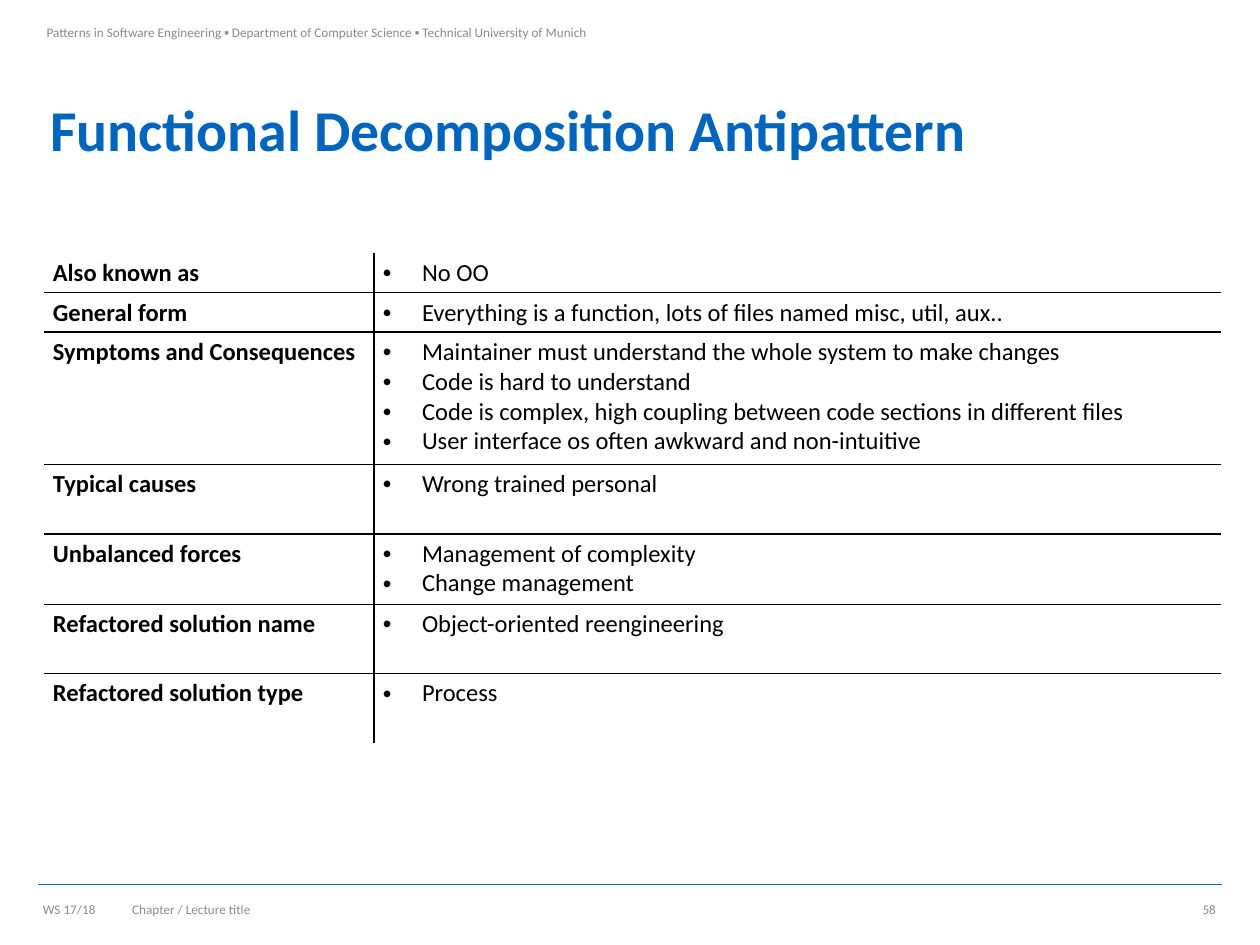
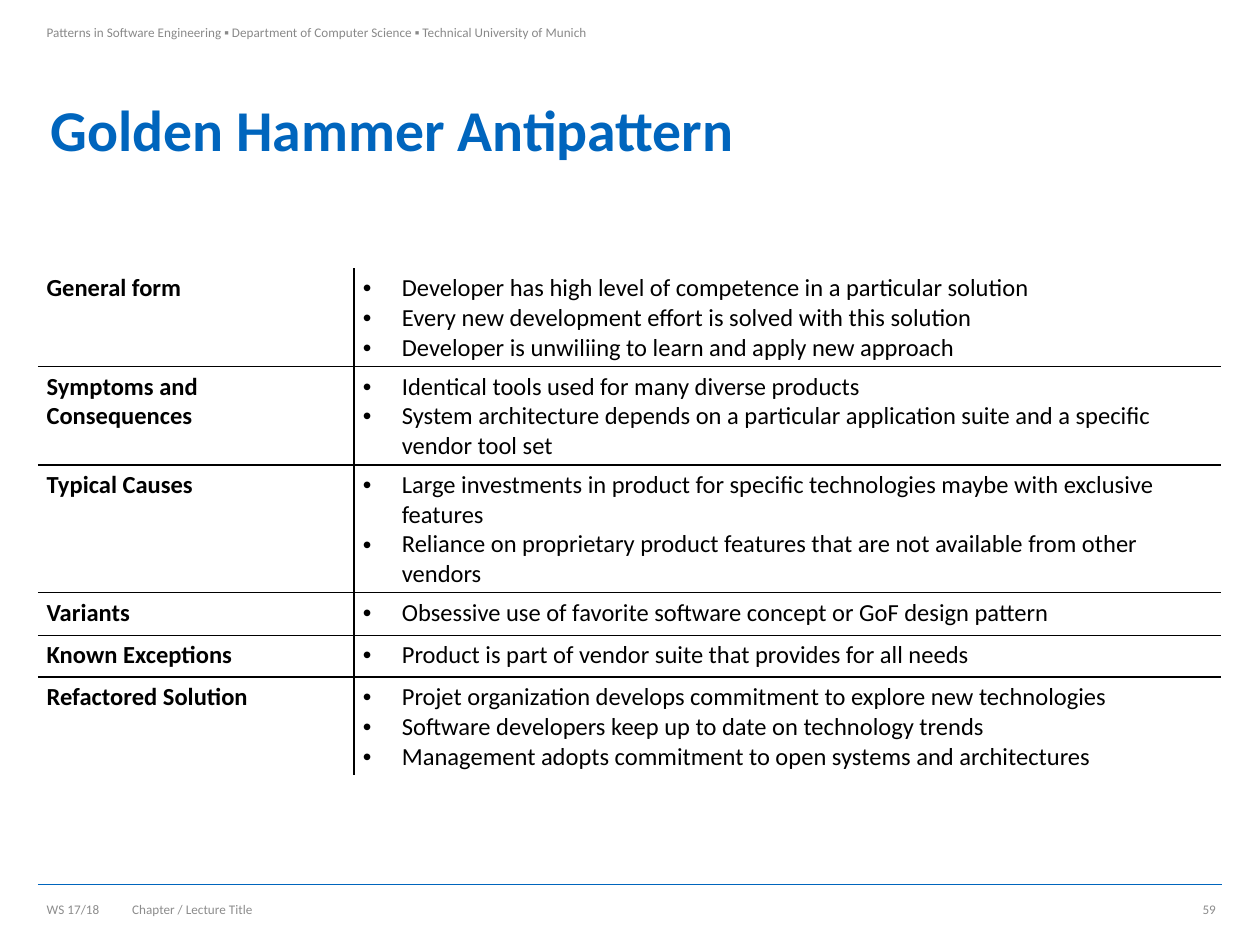
"""Build two antipattern summary slides, each a titled table in a shared frame."""
from dataclasses import dataclass

from lxml import etree
from pptx import Presentation
from pptx import util as u
from pptx.dml import color
from pptx.enum import shapes, text
from pptx.oxml import ns

Inches = u.Inches


@dataclass(frozen=True)
class Theme:
    """Colours, font and type sizes of the deck."""
    blue: str = "0065BD"
    head: str = "898989"
    foot: str = "8C8C8C"
    ink: str = "000000"
    font: str = "Calibri"
    title: float = 33
    body: float = 14
    small: float = 7.5


THEME = Theme()
LEFT, RIGHT = text.PP_ALIGN.LEFT, text.PP_ALIGN.RIGHT
CENTER = text.PP_ALIGN.CENTER
HEADER = ("Patterns in Software Engineering ▪ Department of Computer Science"
          " ▪ Technical University of Munich")
TERM = "WS 17/18"
TIGHT = (0.04, 0.05, 0.04, 0.05)
NORMAL = (0.1, 0.05, 0.1, 0.05)
INDENT = 0.31

SLIDES = [
    dict(
        title="Functional Decomposition Antipattern",
        chapter="Chapter / Lecture title", number="58", align=LEFT,
        spot=(0.35, 2.01), cols=(2.62, 6.72),
        rows=[
            (0.31, "Also known as", ["No OO"]),
            (0.31, "General form",
             ["Everything is a function, lots of files named misc, util, aux.."]),
            (1.05, "Symptoms and Consequences",
             ["Maintainer must understand the whole system to make changes",
              "Code is hard to understand",
              "Code is complex, high coupling between code sections in different files",
              "User interface os often awkward and non-intuitive"]),
            (0.55, "Typical causes", ["Wrong trained personal"]),
            (0.56, "Unbalanced forces",
             ["Management of complexity", "Change management"]),
            (0.55, "Refactored solution name", ["Object-oriented reengineering"]),
            (0.55, "Refactored solution type", ["Process"]),
        ]),
    dict(
        title="Golden Hammer Antipattern",
        chapter="Chapter / Lecture Title", number="59", align=CENTER,
        spot=(0.3, 2.13), cols=(2.51, 6.88),
        rows=[
            (0.78, "General form",
             ["Developer has high level of competence in a particular solution",
              "Every new development effort is solved with this solution",
              "Developer is unwiliing to learn and apply new approach"]),
            (0.78, "Symptoms and Consequences",
             ["Identical tools used for many diverse products",
              "System architecture depends on a particular application suite"
              " and a specific vendor tool set"]),
            (0.63, "Typical Causes",
             ["Large investments in product for specific technologies maybe"
              " with exclusive features",
              "Reliance on proprietary product features that are not available"
              " from other vendors"]),
            (0.34, "Variants",
             ["Obsessive use of favorite software concept or GoF design pattern"]),
            (0.33, "Known Exceptions",
             ["Product is part of vendor suite that provides for all needs"]),
            (0.78, "Refactored Solution",
             ["Projet organization develops commitment to explore new technologies",
              "Software developers keep up to date on technology trends",
              "Management adopts commitment to open systems and architectures"]),
        ]),
]


def style(para, size, tint, bold=False):
    """Set the font of a whole paragraph."""
    font = para.font
    font.name, font.size, font.bold = THEME.font, u.Pt(size), bold
    font.color.rgb = color.RGBColor.from_string(tint)


def inset(item, sides):
    """Set the four text margins of a frame or a cell."""
    (item.margin_left, item.margin_top,
     item.margin_right, item.margin_bottom) = map(Inches, sides)


def label(slide, box, words, tint, sides, align=LEFT, anchor=text.MSO_ANCHOR.MIDDLE):
    """Add a small line of text."""
    frame = slide.shapes.add_textbox(*map(Inches, box)).text_frame
    frame.word_wrap, frame.vertical_anchor = True, anchor
    inset(frame, sides)
    para = frame.paragraphs[0]
    para.text, para.alignment = words, align
    style(para, THEME.small, tint)


def rule(slide):
    """Draw the line above the footer."""
    line = slide.shapes.add_connector(
        shapes.MSO_CONNECTOR.STRAIGHT, *map(Inches, (0.3, 7.02, 9.7, 7.02)))
    line.line.color.rgb = color.RGBColor.from_string(THEME.blue)
    line.line.width = u.Pt(0.5)
    etree.SubElement(line._element.spPr, ns.qn("a:effectLst"))


def heading(slide, words):
    """Place and format the slide title."""
    shape = slide.shapes.title
    shape.left, shape.top, shape.width, shape.height = map(
        Inches, (0.3, 0.68, 9.39, 0.74))
    frame = shape.text_frame
    frame.text, frame.vertical_anchor = words, text.MSO_ANCHOR.MIDDLE
    frame.auto_size = text.MSO_AUTO_SIZE.NONE
    para = frame.paragraphs[0]
    para.alignment, para.line_spacing = LEFT, 0.9
    style(para, THEME.title, THEME.blue, True)


def bullet(para):
    """Give a paragraph a hanging bullet."""
    props = para._p.get_or_add_pPr()
    props.set("marL", str(Inches(INDENT)))
    props.set("indent", str(-Inches(INDENT)))
    etree.SubElement(props, ns.qn("a:buFont"), typeface="Arial")
    etree.SubElement(props, ns.qn("a:buChar"), char="•")


def border(cell, drawn):
    """Draw the named sides of a cell and clear the others."""
    props = cell._tc.get_or_add_tcPr()
    for side in "LRTB":
        line = etree.SubElement(props, ns.qn("a:ln" + side), w=str(u.Pt(1)))
        if side in drawn:
            fill = etree.SubElement(line, ns.qn("a:solidFill"))
            etree.SubElement(fill, ns.qn("a:srgbClr"), val=THEME.ink)
        else:
            etree.SubElement(line, ns.qn("a:noFill"))


def fill(cell, lines, bold, drawn):
    """Write lines into a cell, bold as a label or bulleted as a list."""
    border(cell, drawn)
    cell.fill.background()
    inset(cell, (0.07, 0.04, 0.07, 0.04))
    cell.text = "\n".join(lines)
    for para in cell.text_frame.paragraphs:
        style(para, THEME.body, THEME.ink, bold)
        if not bold:
            bullet(para)


def grid(slide, spot, cols, rows):
    """Add the two-column table with inner rules only."""
    size = sum(cols), sum(row[0] for row in rows)
    table = slide.shapes.add_table(
        len(rows), len(cols), *map(Inches, spot + size)).table
    table.first_row = table.horz_banding = False
    for col, width in zip(table.columns, cols):
        col.width = Inches(width)
    for i, (height, name, points) in enumerate(rows):
        table.rows[i].height = Inches(height)
        edges = ("T" if i else "") + ("B" if i < len(rows) - 1 else "")
        fill(table.cell(i, 0), [name], True, "R" + edges)
        fill(table.cell(i, 1), points, False, "L" + edges)


def page(deck, data):
    """Build one slide with its header, title, table and footer."""
    slide = deck.slides.add_slide(deck.slide_layouts[5])
    rule(slide)
    label(slide, (0.3, 0, 4.7, 0.68), HEADER, THEME.head,
          (0.07, 0.19, 0.1, 0.05), anchor=text.MSO_ANCHOR.TOP)
    heading(slide, data["title"])
    grid(slide, data["spot"], data["cols"], data["rows"])
    label(slide, (0.3, 7.1, 0.56, 0.23), TERM, THEME.foot, TIGHT, data["align"])
    label(slide, (9.25, 7.1, 0.44, 0.23), data["number"], THEME.foot, TIGHT, RIGHT)
    label(slide, (0.95, 7.1, 6.46, 0.24), data["chapter"], THEME.foot, NORMAL)


def main():
    """Build and save the deck."""
    deck = Presentation()
    deck.slide_width, deck.slide_height = Inches(10), Inches(7.5)
    for data in SLIDES:
        page(deck, data)
    deck.save("out.pptx")


main()
